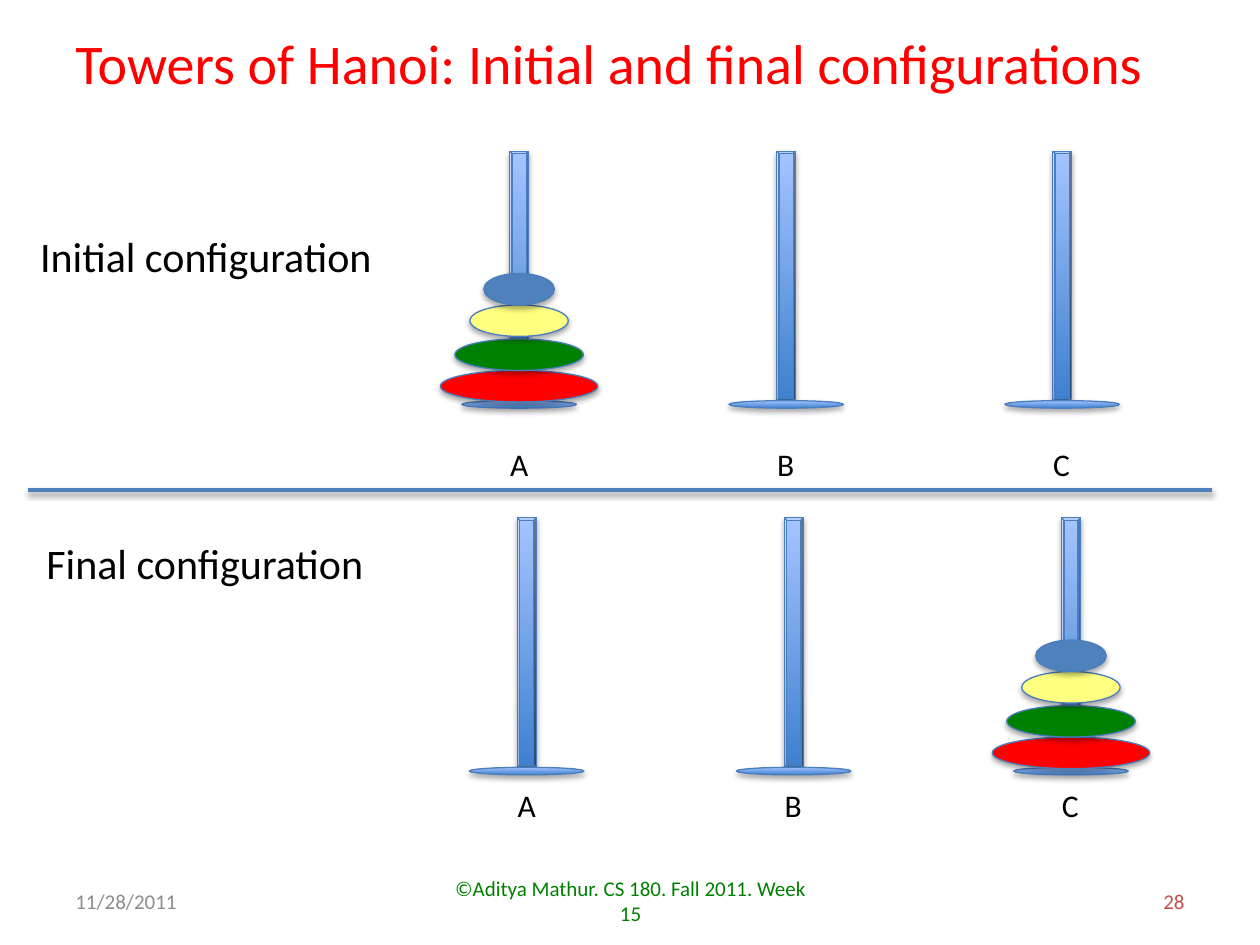
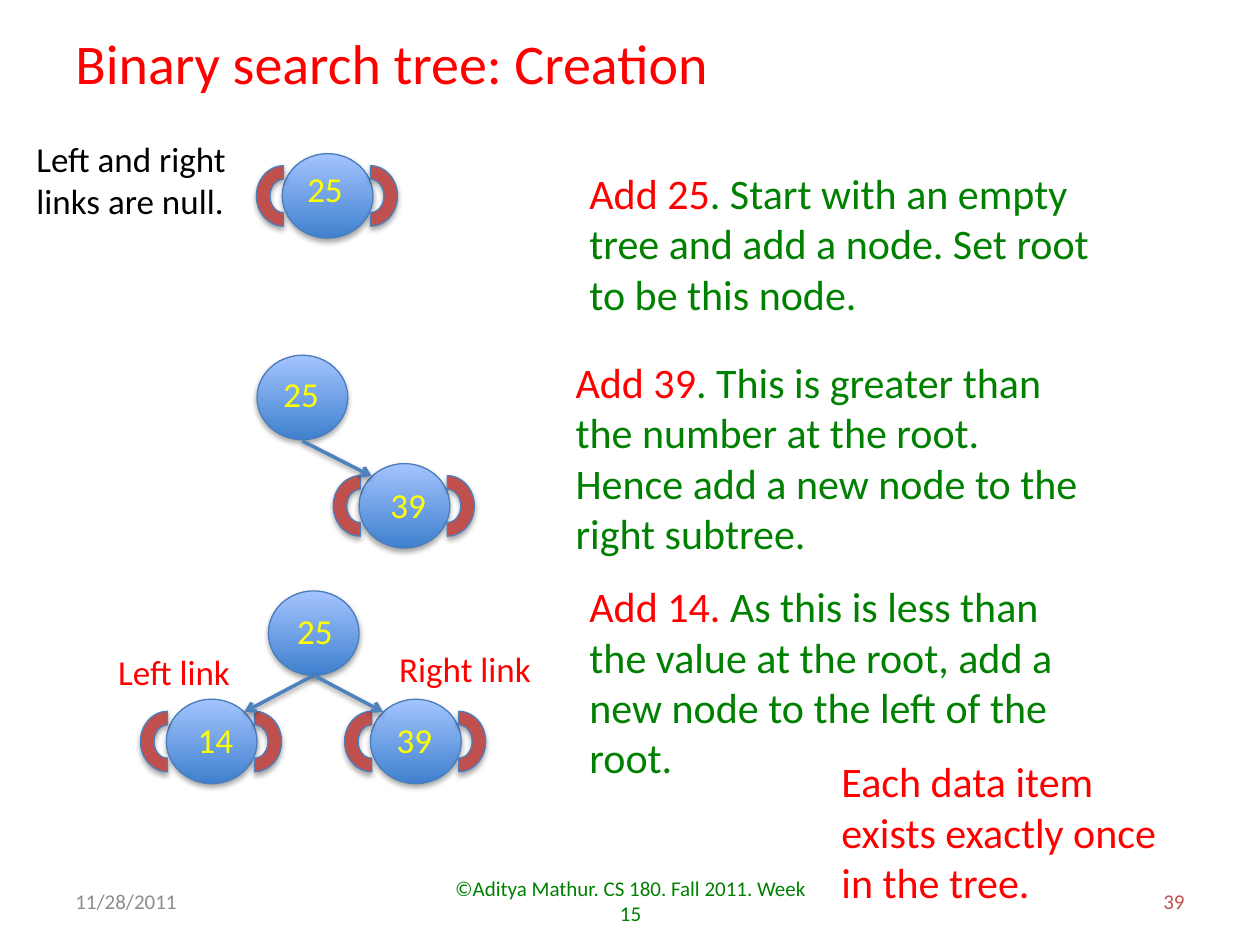
from dataclasses import dataclass
from typing import NamedTuple

from lxml import etree
from pptx import Presentation
from pptx.dml.color import RGBColor
from pptx.enum.shapes import MSO_CONNECTOR, MSO_SHAPE
from pptx.enum.text import MSO_ANCHOR, MSO_AUTO_SIZE, PP_ALIGN
from pptx.oxml import parse_xml
from pptx.oxml.ns import nsdecls, qn
from pptx.util import Inches, Pt

FONT = "Calibri"
COLORS = {
    "red": "FF0000", "green": "008000", "pale_yellow": "FFFF80",
    "yellow": "FFFF00", "blue": "4F81BD", "outline": "4B7EBC",
    "deep_blue": "3F80CE", "light_blue": "A4C4FF", "brick": "C0504D",
    "gray": "8C8C8C", "black": "000000",
}


class Box(NamedTuple):
    left: float
    top: float
    width: float
    height: float


class Disk(NamedTuple):
    width: float
    drop: float  # distance below the top of the peg
    color: str


@dataclass
class Configuration:
    title: str
    title_box: Box
    top: float
    peg_centers: tuple[float, ...]
    label_drop: float
    loaded_peg: int


@dataclass
class Node:
    value: str
    left: float
    top: float
    value_offset: tuple[float, float]
    null_links: str = ""  # "L" and/or "R"


@dataclass
class Step:
    heading: str
    detail: str
    box: Box


def rgb(color: str) -> RGBColor:
    return RGBColor.from_string(COLORS[color])


# Shared drawing functions
def add_text(slide, box: Box, runs: list[tuple[str, str]], size: int,
             wrap: bool = True, align=PP_ALIGN.LEFT, footer: bool = False) -> None:
    frame = slide.shapes.add_textbox(*map(Inches, box)).text_frame
    frame.word_wrap = wrap
    if footer:
        frame.vertical_anchor = MSO_ANCHOR.MIDDLE
    else:
        frame.auto_size = MSO_AUTO_SIZE.SHAPE_TO_FIT_TEXT
    paragraph = frame.paragraphs[0]
    paragraph.alignment = align
    for words, color in runs:
        run = paragraph.add_run()
        run.text = words
        run.font.name = FONT
        run.font.size = Pt(size)
        run.font.color.rgb = rgb(color)


def add_shadow(element, distance: int, opacity: int) -> None:
    """Append a soft downward shadow; call after the fill and line are set."""
    element.spPr.append(parse_xml(
        f'<a:effectLst {nsdecls("a")}><a:outerShdw blurRad="40000" dist="{distance}" '
        f'dir="5400000" rotWithShape="0"><a:srgbClr val="{COLORS["black"]}">'
        f'<a:alpha val="{opacity * 1000}"/></a:srgbClr></a:outerShdw></a:effectLst>'))


def add_solid(slide, kind, box: Box, color: str = "", rotation: int = 0) -> None:
    """Draw an outlined shape, with the blue gradient when no colour is given."""
    solid = slide.shapes.add_shape(kind, *map(Inches, box))
    solid.rotation = rotation
    if color:
        solid.fill.solid()
        solid.fill.fore_color.rgb = rgb(color)
    else:
        solid.fill.gradient()
        solid.fill.gradient_angle = 90
        for stop, shade in zip(solid.fill.gradient_stops, ("deep_blue", "light_blue")):
            stop.color.rgb = rgb(shade)
    solid.line.color.rgb = rgb("outline")
    solid.line.width = Pt(0.75)
    add_shadow(solid._element, 23000, 35)


def add_line(slide, start: tuple[float, float], end: tuple[float, float],
             arrow: bool = False) -> None:
    link = slide.shapes.add_connector(
        MSO_CONNECTOR.STRAIGHT, *map(Inches, (*start, *end)))
    link.line.color.rgb = rgb("blue")
    link.line.width = Pt(2)
    if arrow:
        etree.SubElement(link.line._ln, qn("a:tailEnd"), type="arrow")
    add_shadow(link._element, 20000, 38)


def add_page(deck, title: str, title_width: float, number: int):
    slide = deck.slides.add_slide(deck.slide_layouts[6])
    add_text(slide, Box(0.5, 0.18, title_width, 0.64), [(title, "red")], 32, wrap=False)
    footers = (
        ("11/28/2011", 0.5, 2.33, "gray", PP_ALIGN.LEFT),
        ("©Aditya Mathur. CS 180. Fall 2011. Week 15", 3.42, 3.17, "green", PP_ALIGN.CENTER),
        (str(number), 7.17, 2.33, "brick", PP_ALIGN.RIGHT),
    )
    for words, left, width, color, align in footers:
        add_text(slide, Box(left, 6.95, width, 0.4), [(words, color)], 12,
                 align=align, footer=True)
    return slide


# Towers of Hanoi
PEG_WIDTH, PEG_HEIGHT = 0.15, 1.98
BASE_WIDTH, BASE_HEIGHT = 0.91, 0.06
DISK_HEIGHT = 0.25
DISKS = (
    Disk(1.25, 1.74, "red"),
    Disk(1.02, 1.49, "green"),
    Disk(0.78, 1.22, "pale_yellow"),
    Disk(0.56, 0.97, "blue"),
)
CONFIGURATIONS = (
    Configuration("Initial configuration", Box(0.22, 1.78, 2.95, 0.5), 1.2,
                  (4.12, 6.24, 8.43), 2.28, loaded_peg=0),
    Configuration("Final configuration", Box(0.27, 4.22, 3.14, 0.5), 4.11,
                  (4.18, 6.3, 8.5), 2.08, loaded_peg=2),
)


def centered(center: float, top: float, width: float, height: float) -> Box:
    return Box(center - width / 2, top, width, height)


def add_configuration(slide, config: Configuration) -> None:
    add_text(slide, config.title_box, [(config.title, "black")], 24)
    for name, center in zip("ABC", config.peg_centers):
        add_solid(slide, MSO_SHAPE.BEVEL,
                  centered(center, config.top, PEG_WIDTH, PEG_HEIGHT))
        add_solid(slide, MSO_SHAPE.OVAL,
                  centered(center, config.top + PEG_HEIGHT, BASE_WIDTH, BASE_HEIGHT))
        add_text(slide, centered(center, config.top + config.label_drop, 0.34, 0.4),
                 [(name, "black")], 18, wrap=False)
    for disk in DISKS:
        add_solid(slide, MSO_SHAPE.OVAL,
                  centered(config.peg_centers[config.loaded_peg],
                           config.top + disk.drop, disk.width, DISK_HEIGHT),
                  disk.color)


# Binary search tree
NODE_WIDTH, NODE_HEIGHT = 0.72, 0.67
NULL_LINKS = {"L": (-0.23, 270), "R": (0.46, 90)}  # offset from node, rotation
NODES = (
    Node("25", 2.24, 1.22, (0.1, 0.06), "LR"),
    Node("25", 2.04, 2.82, (0.11, 0.09)),
    Node("39", 2.85, 3.68, (0.15, 0.11), "LR"),
    Node("25", 2.13, 4.69, (0.13, 0.1)),
    Node("14", 1.32, 5.55, (0.15, 0.1), "LR"),
    Node("39", 2.94, 5.55, (0.11, 0.1), "LR"),
)
LINKS = (
    ((2.4, 3.5), (2.95, 3.78)),
    ((2.49, 5.36), (1.94, 5.65)),
    ((2.49, 5.36), (3.04, 5.65)),
)
STEPS = (
    Step("Add 25", ". Start with an empty tree and add a node. Set root to be this node.",
         Box(4.58, 1.28, 4.47, 1.31)),
    Step("Add 39", ". This is greater than the number at the root. "
         "Hence add a new node to the right subtree.", Box(4.47, 2.78, 4.27, 1.72)),
    Step("Add 14. ", "As this is less than the value at the root, "
         "add a new node to the left of the root.", Box(4.58, 4.56, 4.27, 1.72)),
)


def add_node(slide, node: Node) -> None:
    add_solid(slide, MSO_SHAPE.OVAL, Box(node.left, node.top, NODE_WIDTH, NODE_HEIGHT))
    for side in node.null_links:
        offset, rotation = NULL_LINKS[side]
        add_solid(slide, MSO_SHAPE.BLOCK_ARC,
                  Box(node.left + offset, node.top + 0.12, 0.48, 0.43), "brick", rotation)
    dx, dy = node.value_offset
    add_text(slide, Box(node.left + dx, node.top + dy, 0.49, 0.44),
             [(node.value, "yellow")], 20, wrap=False)


deck = Presentation()
deck.slide_width, deck.slide_height = Inches(10), Inches(7.5)

# Slide 1: both configurations, split by a line
hanoi = add_page(deck, "Towers of Hanoi: Initial and final configurations", 8.82, 28)
for configuration in CONFIGURATIONS:
    add_configuration(hanoi, configuration)
add_line(hanoi, (0.22, 3.89), (9.62, 3.89))

# Slide 2: three insertions with their explanations
tree = add_page(deck, "Binary search tree: Creation", 5.29, 39)
for tree_node in NODES:
    add_node(tree, tree_node)
for parent, child in LINKS:
    add_line(tree, parent, child, arrow=True)
for step in STEPS:
    add_text(tree, step.box, [(step.heading, "red"), (step.detail, "green")], 24)
add_text(tree, Box(0.19, 1.04, 1.82, 0.77),
         [("Left and right links are null.", "black")], 20)
add_text(tree, Box(0.84, 5.11, 1.1, 0.44), [("Left link", "red")], 20, wrap=False)
add_text(tree, Box(3.07, 5.09, 1.26, 0.44), [("Right link", "red")], 20, wrap=False)
add_text(tree, Box(6.58, 5.95, 3.02, 1.31),
         [("Each data item exists exactly once in the tree.", "red")], 24)

deck.save("out.pptx")
